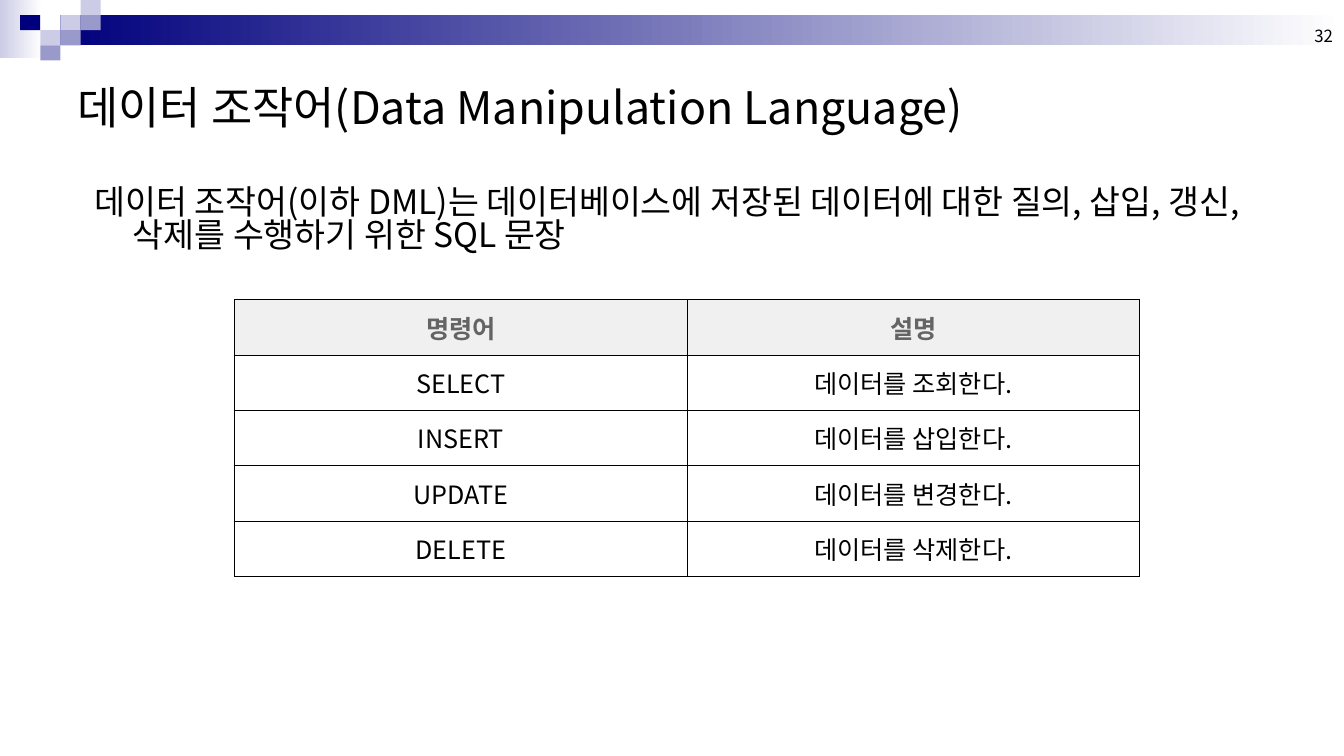
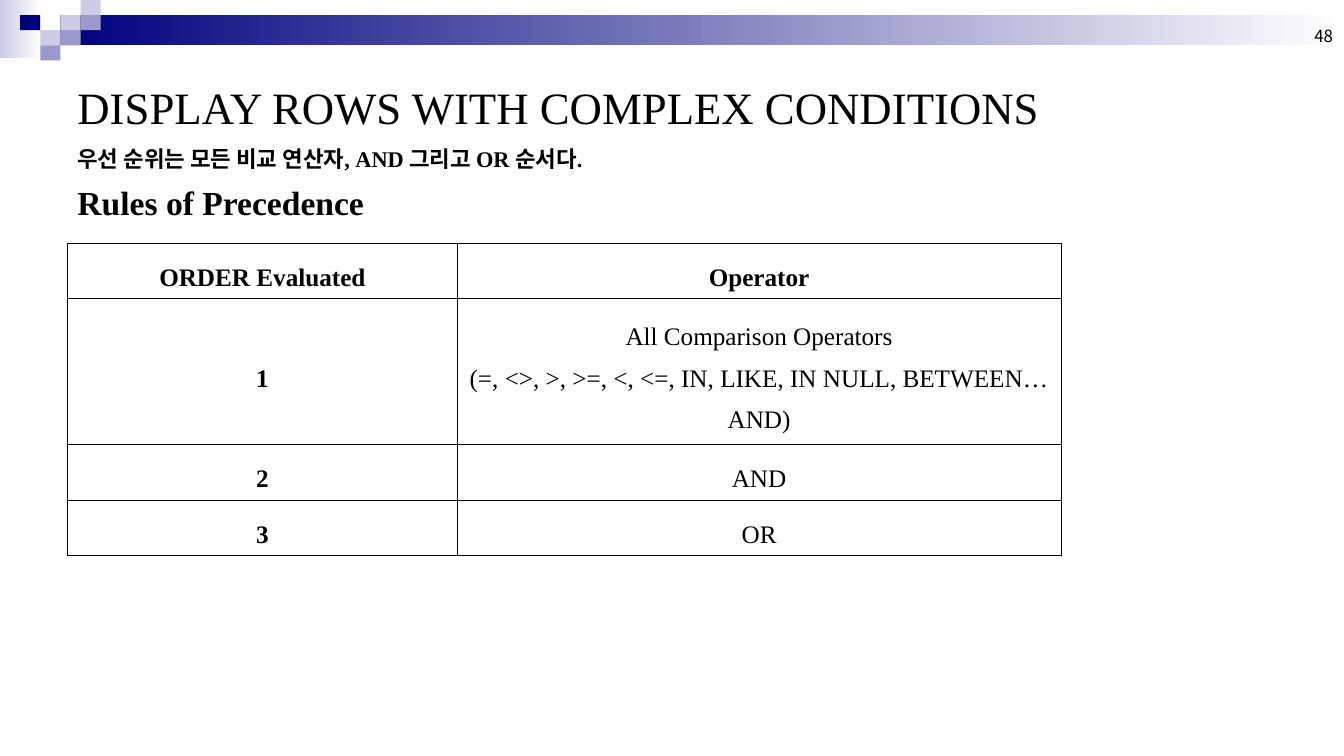
from dataclasses import dataclass

import pptx
import pptx.dml.color
import pptx.enum.shapes
import pptx.enum.text
import pptx.oxml
import pptx.oxml.ns
import pptx.slide
import pptx.table
import pptx.text.text
import pptx.util

Inches = pptx.util.Inches
Align = pptx.enum.text.PP_ALIGN
Anchor = pptx.enum.text.MSO_ANCHOR


@dataclass(frozen=True)
class Theme:
    navy: str = "00007D"
    mid: str = "9999CC"
    pale: str = "CCCCE6"
    white: str = "FFFFFF"
    black: str = "000000"
    gray: str = "646464"
    head: str = "F0F0F0"
    sans: str = "Noto Sans CJK KR"
    serif: str = "Times New Roman"
    title: float = 32
    body: float = 24
    cell: float = 18
    note: float = 16
    number: float = 12
    border: float = 0.4


THEME = Theme()


@dataclass(frozen=True)
class Box:
    left: float
    top: float
    width: float
    height: float

    def place(self) -> tuple[int, ...]:
        sides = (self.left, self.top, self.width, self.height)
        return tuple(Inches(side) for side in sides)


@dataclass(frozen=True)
class Style:
    size: float
    font: str = THEME.sans
    color: str = THEME.black
    bold: bool = False
    align: Align = Align.LEFT
    spacing: float = 1.0
    hang: float = 0


@dataclass(frozen=True)
class Tile:
    col: int
    row: int
    color: str


@dataclass(frozen=True)
class Grid:
    left: float
    top: float
    cols: tuple[float, ...]
    rows: tuple[float, ...]
    cells: tuple[tuple[str, ...], ...]
    font: str
    margin: float
    spacing: float = 1.0
    ink: str = THEME.black
    fill: str | None = None
    lead: bool = False  # bold first column


TILES = (
    Tile(3, 1, THEME.pale), Tile(4, 0, THEME.pale), Tile(4, 1, THEME.mid),
    Tile(2, 2, THEME.pale), Tile(1, 1, THEME.navy), Tile(3, 2, THEME.mid),
    Tile(2, 3, THEME.mid),
)
TILE_W, TILE_H = 0.2, 0.15

COMMANDS = Grid(
    2.33, 2.97, (4.49, 4.49), (0.55,) * 5,
    (
        ("명령어", "설명"),
        ("SELECT", "데이터를 조회한다."),
        ("INSERT", "데이터를 삽입한다."),
        ("UPDATE", "데이터를 변경한다."),
        ("DELETE", "데이터를 삭제한다."),
    ),
    THEME.sans, 0.05, ink=THEME.gray, fill=THEME.head,
)
ORDER = Grid(
    0.67, 2.41, (3.87, 5.99), (0.55, 1.45, 0.55, 0.55),
    (
        ("ORDER Evaluated", "Operator"),
        ("1", "All Comparison Operators\n"
              "(=, <>, >, >=, <, <=, IN, LIKE, IN NULL, BETWEEN…AND)"),
        ("2", "AND"),
        ("3", "OR"),
    ),
    THEME.serif, 0.1, spacing=1.5, lead=True,
)


def rgb(color: str) -> pptx.dml.color.RGBColor:
    return pptx.dml.color.RGBColor.from_string(color)


def write(frame: pptx.text.text.TextFrame, text: str, style: Style) -> None:
    frame.text = text
    for para in frame.paragraphs:
        para.alignment = style.align
        if style.spacing != 1:
            para.line_spacing = style.spacing
        if style.hang:
            props = para._p.get_or_add_pPr()
            props.set("marL", str(Inches(style.hang)))
            props.set("indent", str(-Inches(style.hang)))
        for run in para.runs:
            font = run.font
            font.size = pptx.util.Pt(style.size)
            font.bold = style.bold
            font.color.rgb = rgb(style.color)
            font.name = style.font
            east = pptx.oxml.parse_xml(
                f'<a:ea {pptx.oxml.ns.nsdecls("a")} typeface="{THEME.sans}"/>')
            run._r.get_or_add_rPr().append(east)


def label(slide: pptx.slide.Slide, box: Box, text: str, style: Style,
          anchor: Anchor = Anchor.TOP) -> None:
    frame = slide.shapes.add_textbox(*box.place()).text_frame
    frame.word_wrap = True
    frame.vertical_anchor = anchor
    write(frame, text, style)


def block(slide: pptx.slide.Slide, box: Box, color: str,
          fade: bool = False) -> None:
    """Draw a borderless rectangle, fading to white on the right if asked."""
    shape = slide.shapes.add_shape(
        pptx.enum.shapes.MSO_SHAPE.RECTANGLE, *box.place())
    shape.shadow.inherit = False
    shape.line.fill.background()
    if fade:
        shape.fill.gradient()
        shape.fill.gradient_angle = 0
        for stop, tint, spot in zip(
                shape.fill.gradient_stops, (color, THEME.white), (0, 1)):
            stop.color.rgb = rgb(tint)
            stop.position = spot
    else:
        shape.fill.solid()
        shape.fill.fore_color.rgb = rgb(color)


def edge(cell: pptx.table._Cell) -> None:
    """Give a cell thin black borders; call before setting its fill."""
    props = cell._tc.get_or_add_tcPr()
    for side in "LRTB":
        props.append(pptx.oxml.parse_xml(
            f'<a:ln{side} {pptx.oxml.ns.nsdecls("a")} '
            f'w="{pptx.util.Pt(THEME.border)}"><a:solidFill>'
            f'<a:srgbClr val="{THEME.black}"/></a:solidFill></a:ln{side}>'))


def tabulate(slide: pptx.slide.Slide, grid: Grid) -> None:
    box = Box(grid.left, grid.top, sum(grid.cols), sum(grid.rows))
    table = slide.shapes.add_table(
        len(grid.rows), len(grid.cols), *box.place()).table
    table.horz_banding = False
    for col, width in zip(table.columns, grid.cols):
        col.width = Inches(width)
    for row, height in zip(table.rows, grid.rows):
        row.height = Inches(height)
    for r, texts in enumerate(grid.cells):
        for c, text in enumerate(texts):
            cell = table.cell(r, c)
            top = r == 0
            edge(cell)
            if top and grid.fill:
                cell.fill.solid()
                cell.fill.fore_color.rgb = rgb(grid.fill)
            else:
                cell.fill.background()
            cell.margin_left = cell.margin_right = Inches(grid.margin)
            cell.margin_top = cell.margin_bottom = Inches(0.05)
            cell.vertical_anchor = Anchor.MIDDLE
            write(cell.text_frame, text, Style(
                THEME.cell, grid.font, grid.ink if top else THEME.black,
                top or (grid.lead and c == 0), Align.CENTER, grid.spacing))


def start(deck: pptx.presentation.Presentation, number: int, title: str,
          font: str) -> pptx.slide.Slide:
    """Add a slide with the band, mosaic, page number and title."""
    slide = deck.slides.add_slide(deck.slide_layouts[6])
    block(slide, Box(0, 0, 0.42, 0.58), THEME.pale, fade=True)
    block(slide, Box(0.6, 0.15, 12.73, 0.3), THEME.navy, fade=True)
    for tile in TILES:
        block(slide, Box(tile.col * TILE_W, tile.row * TILE_H,
                         TILE_W, TILE_H), tile.color)
    label(slide, Box(10.22, 0, 3.11, 0.5), str(number),
          Style(THEME.number, align=Align.RIGHT), Anchor.BOTTOM)
    label(slide, Box(0.67, 0.5, 12, 1.12), title,
          Style(THEME.title, font), Anchor.MIDDLE)
    return slide


def main() -> None:
    deck = pptx.Presentation()
    deck.slide_width, deck.slide_height = Inches(13.34), Inches(7.5)

    slide = start(deck, 32, "데이터 조작어(Data Manipulation Language)",
                  THEME.sans)
    label(slide, Box(0.84, 1.82, 11.83, 4.84),
          "데이터 조작어(이하 DML)는 데이터베이스에 저장된 데이터에 대한 질의, "
          "삽입, 갱신, 삭제를 수행하기 위한 SQL 문장",
          Style(THEME.body, spacing=0.82, hang=0.38))
    tabulate(slide, COMMANDS)

    slide = start(deck, 48, "DISPLAY ROWS WITH COMPLEX CONDITIONS",
                  THEME.serif)
    label(slide, Box(0.67, 1.76, 8.92, 0.55), "Rules of Precedence",
          Style(THEME.body, THEME.serif, bold=True, hang=0.38))
    tabulate(slide, ORDER)
    label(slide, Box(0.67, 1.39, 10.25, 0.44),
          "우선 순위는 모든 비교 연산자, AND 그리고 OR 순서다.",
          Style(THEME.note, THEME.serif, bold=True, hang=0.38))

    deck.save("out.pptx")


if __name__ == "__main__":
    main()
